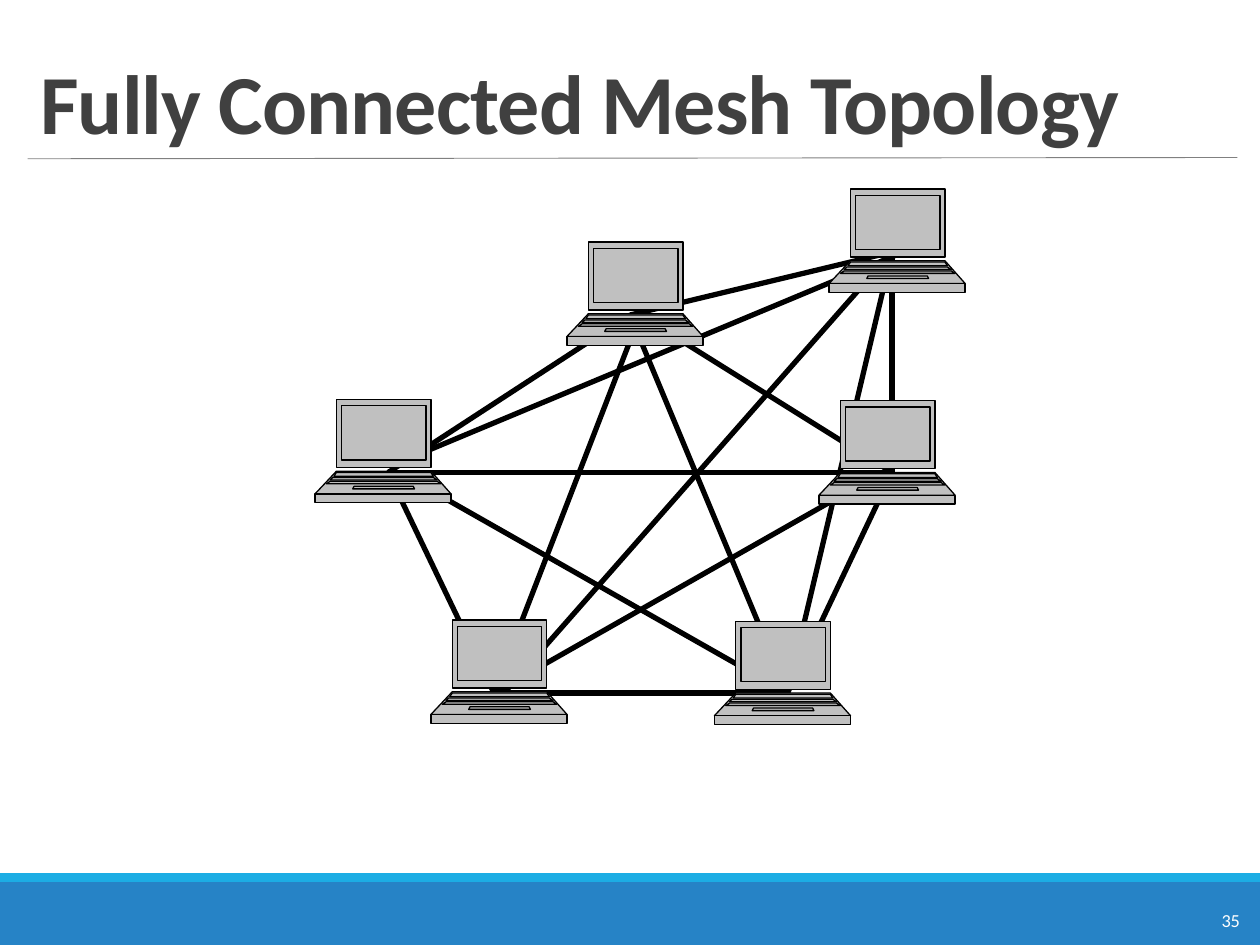
"""Build the slide on the fully connected mesh topology."""
from lxml.etree import SubElement
from pptx import Presentation
from pptx.dml.color import RGBColor
from pptx.enum.shapes import MSO_CONNECTOR, MSO_SHAPE
from pptx.enum.text import MSO_ANCHOR, MSO_AUTO_SIZE, PP_ALIGN
from pptx.oxml.ns import qn
from pptx.util import Pt

PX = 9144
BLUE = RGBColor(0x26, 0x83, 0xC6)
SKY = RGBColor(0x1C, 0xAD, 0xE4)
GRAY = RGBColor(0x80, 0x80, 0x80)
SILVER = RGBColor(0xC0, 0xC0, 0xC0)
DARK = RGBColor(0x40, 0x40, 0x40)
BLACK = RGBColor(0, 0, 0)
WHITE = RGBColor(0xFF, 0xFF, 0xFF)


def add_line(start, end, color, width):
    ends = [value * PX for value in (*start, *end)]
    line = page.shapes.add_connector(MSO_CONNECTOR.STRAIGHT, *ends)
    line.line.color.rgb = color
    line.line.width = Pt(width)
    SubElement(line._element.spPr, qn("a:effectLst"))


def write(box, text, color, frame_format, para_format, font_format):
    frame = box.text_frame
    frame.text = text
    para = frame.paragraphs[0]
    span = para.runs[0]
    for target, values in (
        (frame, frame_format), (para, para_format), (span.font, font_format)
    ):
        for name, value in values.items():
            setattr(target, name, value)
    span.font.name = "Calibri"
    span.font.color.rgb = color
    return span


deck = Presentation()
deck.slide_width = 1000 * PX
deck.slide_height = 750 * PX
page = deck.slides.add_slide(deck.slide_layouts[5])

for top, height, color in ((700, 50, BLUE), (693, 7, SKY)):
    bar = page.shapes.add_shape(
        MSO_SHAPE.RECTANGLE, 0, top * PX, 1000 * PX, height * PX
    )
    bar.shadow.inherit = False
    bar.fill.solid()
    bar.fill.fore_color.rgb = color
    bar.line.fill.background()

add_line((22, 126), (982, 125), GRAY, 0.5)

number = page.shapes.add_textbox(957 * PX, 716 * PX, 37 * PX, 28 * PX)
write(
    number, "35", WHITE,
    {"word_wrap": False, "vertical_anchor": MSO_ANCHOR.MIDDLE},
    {"alignment": PP_ALIGN.RIGHT},
    {"size": Pt(10.5)},
)

title = page.shapes.title
title.left, title.top, title.width, title.height = (
    value * PX for value in (22, 25, 960, 100)
)
heading = write(
    title, "Fully Connected Mesh Topology", DARK,
    {"vertical_anchor": MSO_ANCHOR.BOTTOM, "auto_size": MSO_AUTO_SIZE.NONE},
    {"alignment": PP_ALIGN.LEFT, "line_spacing": 0.85},
    {"size": Pt(48), "bold": True},
)
heading.font._element.set("spc", "-50")

links = (
    ((500, 250), (708, 200)),
    ((625, 550), (708, 200)),
    ((708, 375), (708, 200)),
    ((717, 200), (317, 367)),
    ((400, 550), (708, 200)),
    ((308, 375), (500, 250)),
    ((708, 375), (508, 250)),
    ((625, 550), (708, 375)),
    ((392, 550), (625, 550)),
    ((308, 375), (392, 550)),
    ((708, 375), (308, 375)),
    ((700, 375), (392, 550)),
    ((625, 550), (317, 375)),
    ((508, 250), (392, 550)),
    ((625, 550), (500, 250)),
)
for start, end in links:
    add_line(start, end, BLACK, 3)

# Each part: top edge left and right, bottom edge left and right, top, bottom
laptop_parts = (
    (17, 92, 17, 92, 0, 54),
    (17, 92, 0, 108, 57, 75),
    (0, 108, 0, 108, 75, 82),
    (21, 88, 21, 88, 5, 48),
    (17, 92, 15, 94, 58, 61),
    (31, 78, 30, 79, 69, 71),
    (14, 94, 12, 97, 62, 64),
    (12, 97, 9, 100, 65, 67),
)
laptop_spots = (
    (250, 317), (342, 492), (450, 192), (567, 493), (650, 318), (658, 150)
)
for left, top in laptop_spots:
    builder = page.shapes.build_freeform(17, 0, scale=PX)
    for index, part in enumerate(laptop_parts):
        top_left, top_right, low_left, low_right, upper, lower = part
        if index:
            builder.move_to(top_left, upper)
        builder.add_line_segments(
            ((low_left, lower), (low_right, lower), (top_right, upper))
        )
    laptop = builder.convert_to_shape(left * PX, top * PX)
    laptop.shadow.inherit = False
    laptop.fill.solid()
    laptop.fill.fore_color.rgb = SILVER
    laptop.line.color.rgb = BLACK
    laptop.line.width = Pt(0.75)

    outlines = laptop._element.spPr.find(qn("a:custGeom")).find(qn("a:pathLst"))
    combined = outlines[0]
    for step in list(combined):
        if step.tag == qn("a:moveTo"):
            outline = SubElement(outlines, qn("a:path"), dict(combined.attrib))
        outline.append(step)
    outlines.remove(combined)

deck.save("out.pptx")
